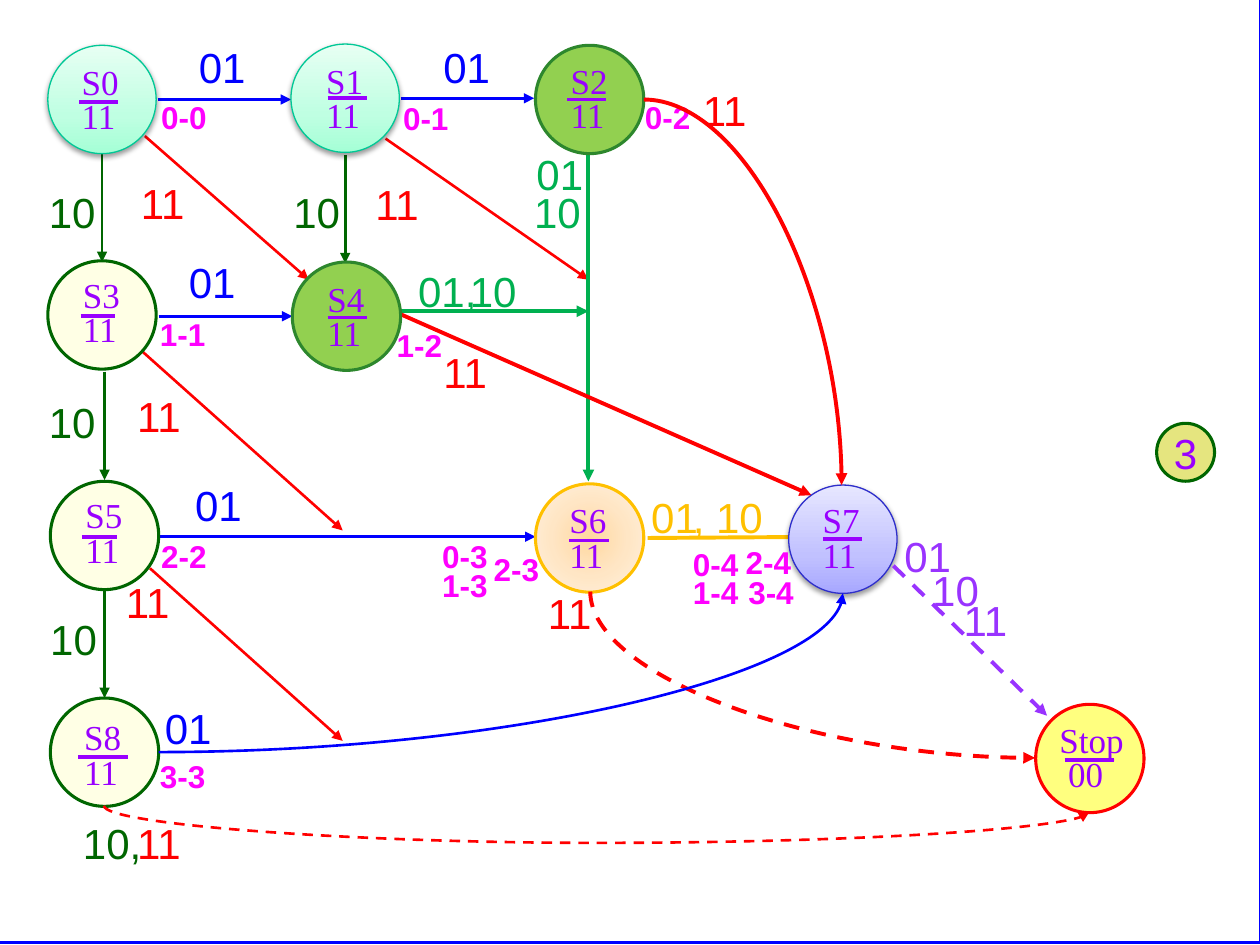
from pptx import Presentation
from pptx.dml.color import RGBColor as Rgb
from pptx.enum.dml import MSO_LINE as Dash
from pptx.enum.shapes import MSO_CONNECTOR as Link, MSO_SHAPE as Kind
from pptx.enum.text import MSO_ANCHOR as Anchor, MSO_AUTO_SIZE as Auto, PP_ALIGN as Align
from pptx.oxml import parse_xml
from pptx.oxml.ns import nsdecls, qn
from pptx.util import Pt

PX = 9144
SIZE = 86
WHITE = Rgb(255, 255, 255)
BLUE = Rgb(0, 0, 255)
RED = Rgb(255, 0, 0)
DARK = Rgb(0, 102, 0)
GREEN = Rgb(0, 176, 80)
GOLD = Rgb(255, 192, 0)
PINK = Rgb(255, 0, 255)
VIOLET = Rgb(153, 0, 255)
PURPLE = Rgb(153, 51, 255)
LEAF = Rgb(146, 208, 80)
MOSS = Rgb(45, 135, 45)
CREAM = Rgb(255, 255, 204)
YELLOW = Rgb(255, 255, 0)
OLIVE = Rgb(204, 204, 0)
TEAL = Rgb(0, 200, 150)
INDIGO = Rgb(46, 46, 203)
MINT = ((0, Rgb(165, 255, 214)), (35, Rgb(191, 255, 226)), (100, Rgb(231, 255, 243)))
LILAC = ((0, Rgb(167, 167, 255)), (35, Rgb(193, 193, 255)), (100, Rgb(231, 231, 255)))
PEACH = ((0, Rgb(255, 216, 160)), (50, Rgb(255, 230, 197)), (100, Rgb(255, 242, 227)))

UP = '<a:lin ang="16200000" scaled="0"/>'
ROUND = '<a:path path="circle"><a:fillToRect l="50000" t="50000" r="50000" b="50000"/></a:path>'
SHADE = ('<a:outerShdw blurRad="39370" dist="20320" dir="5400000" rotWithShape="0">'
         '<a:srgbClr val="000000"><a:alpha val="38000"/></a:srgbClr></a:outerShdw>')

LOOKS = {
    "mint": dict(fill=MINT, line=TEAL, wide=0.75, turn=UP, shade=SHADE),
    "lilac": dict(fill=LILAC, line=INDIGO, wide=0.75, turn=UP, shade=SHADE),
    "peach": dict(fill=PEACH, line=GOLD, turn=ROUND),
    "leaf": dict(fill=LEAF, line=MOSS),
    "cream": dict(fill=CREAM, line=DARK, alpha=50),
    "stop": dict(fill=YELLOW, line=RED, alpha=50),
}

STATES = (
    ("S0", "11", 38, 36, "mint", (17, 7), (25, 45, 31)),
    ("S1", "11", 231, 35, "mint", (18, 7), (29, 43, 31)),
    ("S2", "11", 425, 36, "leaf", (18, 6), (25, 43, 31)),
    ("S3", "11", 38, 207, "cream", (18, 5), (26, 44, 27)),
    ("S4", "11", 232, 208, "leaf", (18, 7), (28, 44, 31)),
    ("S5", "11", 40, 382, "cream", (18, 5), (25, 44, 28)),
    ("S6", "11", 425, 384, "peach", (17, 7), (27, 45, 31)),
    ("S7", "11", 626, 385, "lilac", (17, 6), (27, 43, 31)),
    ("S8", "11", 40, 554, "cream", (17, 9), (22, 47, 40)),
    ("Stop", "00", 822, 559, "stop", (9, 6), (23, 44, 39)),
)

ARROWS = (
    (BLUE, 1.75, ((125, 79, 231, 79), (318, 78, 424, 78))),
    (BLUE, 1.5, ((126, 251, 232, 251), (127, 426, 425, 426))),
    (DARK, 1.5, ((81, 122, 81, 208), (274, 123, 274, 209),
                 (83, 295, 83, 381), (83, 467, 83, 554))),
    (RED, 1.5, ((115, 108, 245, 222), (306, 110, 467, 222),
                (113, 279, 272, 421), (119, 451, 272, 588))),
    (GOLD, 2.25, ((514, 427, 669, 426),)),
    (GREEN, 2.25, ((467, 121, 467, 382), (317, 247, 467, 247))),
    (RED, 2.25, ((317, 249, 644, 393),)),
)

CURVES = (
    ((476, 251, 471, 1033), 270, RED, 1.5, True, 589400),
    ((711, 359, 579, 712), 270, RED, 2.25, True, None),
    ((126, 597, 669, 471), 0, BLUE, 1.5, False, None),
    ((511, 79, 668, 385), 0, RED, 2.25, False, None),
)

CODES = (
    (BLUE, (("01", 148, 28, 61), ("01", 342, 28, 66), ("01", 140, 199, 58),
            ("01", 145, 376, 58), ("01", 121, 553, 58))),
    (DARK, (("10", 29, 143, 63), ("10", 223, 143, 63), ("10", 29, 310, 77),
            ("10", 30, 482, 58), ("10,", 56, 644, 71))),
    (RED, (("11", 102, 136, 58), ("11", 288, 137, 65), ("11", 99, 305, 58),
           ("11", 342, 270, 58), ("11", 548, 62, 58), ("11", 90, 453, 58),
           ("11", 425, 461, 58), ("11", 99, 644, 58))),
    (GREEN, (("01", 416, 113, 63), ("10", 414, 143, 58),
             ("01,", 322, 206, 78), ("10", 363, 206, 62))),
    (GOLD, (("01", 507, 385, 61), (", 10", 540, 385, 80))),
    (PURPLE, (("01", 708, 416, 67), ("10", 730, 443, 61), ("11", 755, 467, 58))),
)

PAIRS = (
    ("0-0", 118, 73), ("0-1", 310, 74), ("0-2", 502, 73), ("1-1", 117, 245),
    ("1-2", 305, 254), ("2-2", 118, 421), ("3-3", 117, 596), ("0-3", 341, 421),
    ("1-3", 341, 444), ("2-3", 382, 432), ("0-4", 540, 428), ("1-4", 540, 450),
    ("2-4", 582, 426), ("3-4", 584, 450),
)


def emu(*vals):
    """Turn px lengths into EMU."""
    return [v * PX for v in vals]


def put(item, **vals):
    """Set each named value on an item."""
    for key, val in vals.items():
        setattr(item, key, val)


def style(para, ink, size, face="Arial", bold=False):
    """Set the font of a paragraph."""
    put(para.font, size=Pt(size), name=face, bold=bold)
    put(para.font.color, rgb=ink)


def label(slide, rows, box, ink, size, face="Arial", bold=False, pad=0):
    """Add a text box with close-set lines."""
    frame = slide.shapes.add_textbox(*emu(*box)).text_frame
    put(frame, word_wrap=True, auto_size=Auto.SHAPE_TO_FIT_TEXT)
    for num, row in enumerate(rows):
        para = frame.add_paragraph() if num else frame.paragraphs[0]
        para.text = row
        if num:
            put(para, line_spacing=0.3, space_before=Pt(10))
            para._p.get_or_add_pPr().set("marL", str(pad * PX))
        style(para, ink, size, face, bold)


def blend(stops, turn):
    """Make a gradient fill element."""
    marks = "".join(f'<a:gs pos="{pos * 1000}"><a:srgbClr val="{ink}"/></a:gs>'
                    for pos, ink in stops)
    return parse_xml(f'<a:gradFill {nsdecls("a")} rotWithShape="1">'
                     f'<a:gsLst>{marks}</a:gsLst>{turn}</a:gradFill>')


def shape(slide, kind, box, fill, line, wide=1.75, alpha=None, turn=None, shade=None):
    """Add a filled and outlined preset shape."""
    item = slide.shapes.add_shape(kind, *emu(*box))
    item.shadow.inherit = False
    props = item._element.spPr
    if turn:
        item.fill.background()
        props.replace(props.find(qn("a:noFill")), blend(fill, turn))
    else:
        item.fill.solid()
        item.fill.fore_color.rgb = fill
    if alpha:
        tint = props.find(qn("a:solidFill"))[0]
        tint.append(parse_xml(f'<a:alpha {nsdecls("a")} val="{alpha * 1000}"/>'))
    item.line.color.rgb = line
    item.line.width = Pt(wide)
    if shade:
        old = props.find(qn("a:effectLst"))
        props.replace(old, parse_xml(f'<a:effectLst {nsdecls("a")}>{shade}</a:effectLst>'))
    return item


def link(slide, ends, ink, wide, dash=False, head=True, kind=Link.STRAIGHT):
    """Add a connector, with an arrowhead if asked."""
    item = slide.shapes.add_connector(kind, *emu(*ends))
    item.line.color.rgb = ink
    item.line.width = Pt(wide)
    if dash:
        item.line.dash_style = Dash.DASH
    if head:
        item.line._get_or_add_ln().append(
            parse_xml(f'<a:tailEnd {nsdecls("a")} type="triangle"/>'))
    item._element.spPr.append(parse_xml(f'<a:effectLst {nsdecls("a")}/>'))
    return item


def curve(slide, ends, turn, ink, wide, dash, bend):
    """Add a curved arrow, turned and bent as asked."""
    props = link(slide, ends, ink, wide, dash, kind=Link.CURVE)._element.spPr
    props.find(qn("a:xfrm")).set("rot", str(turn * 60000))
    geom = props.find(qn("a:prstGeom"))
    if bend:
        geom.replace(geom[0], parse_xml(
            f'<a:avLst {nsdecls("a")}><a:gd name="adj1" fmla="val {bend}"/></a:avLst>'))
    else:
        geom.set("prst", "curvedConnector2")


def state(slide, name, out, x, y, look, text, bar):
    """Add a state circle with its name, bar and output."""
    shape(slide, Kind.OVAL, (x, y, SIZE, SIZE), **LOOKS[look])
    box = (x + text[0], y + text[1], 87 if name == "Stop" else 51, 70)
    label(slide, (name, out), box, VIOLET, 20, "Times New Roman",
          pad=7 if name == "Stop" else 0)
    left, top, width = x + bar[0], y + bar[1], bar[2]
    link(slide, (left, top, left + width, top), VIOLET, 2.25, head=False)


def badge(slide, text, box):
    """Add the small numbered circle."""
    item = shape(slide, Kind.OVAL, box, OLIVE, DARK, alpha=50)
    frame = item.text_frame
    put(frame, word_wrap=False, vertical_anchor=Anchor.MIDDLE)
    para = frame.paragraphs[0]
    put(para, text=text, alignment=Align.CENTER)
    style(para, VIOLET, 24)


def main():
    """Build the state diagram slide."""
    deck = Presentation()
    put(deck, slide_width=1000 * PX, slide_height=750 * PX)
    slide = deck.slides.add_slide(deck.slide_layouts[6])
    shape(slide, Kind.RECTANGLE, (-2, -2, 1002, 750), WHITE, BLUE, 1.5)
    for ink, wide, paths in ARROWS:
        for ends in paths:
            link(slide, ends, ink, wide)
    for row in STATES:
        state(slide, *row)
    badge(slide, "3", (918, 336, 46, 46))
    for ink, rows in CODES:
        for text, x, y, width in rows:
            label(slide, (text,), (x, y, width, 50), ink, 24)
    for text, x, y in PAIRS:
        label(slide, (text,), (x, y, 61, 40), PINK, 18, bold=True)
    link(slide, (709, 449, 831, 568), PURPLE, 2.25, dash=True)
    for row in CURVES:
        curve(slide, *row)
    deck.save("out.pptx")


if __name__ == "__main__":
    main()
